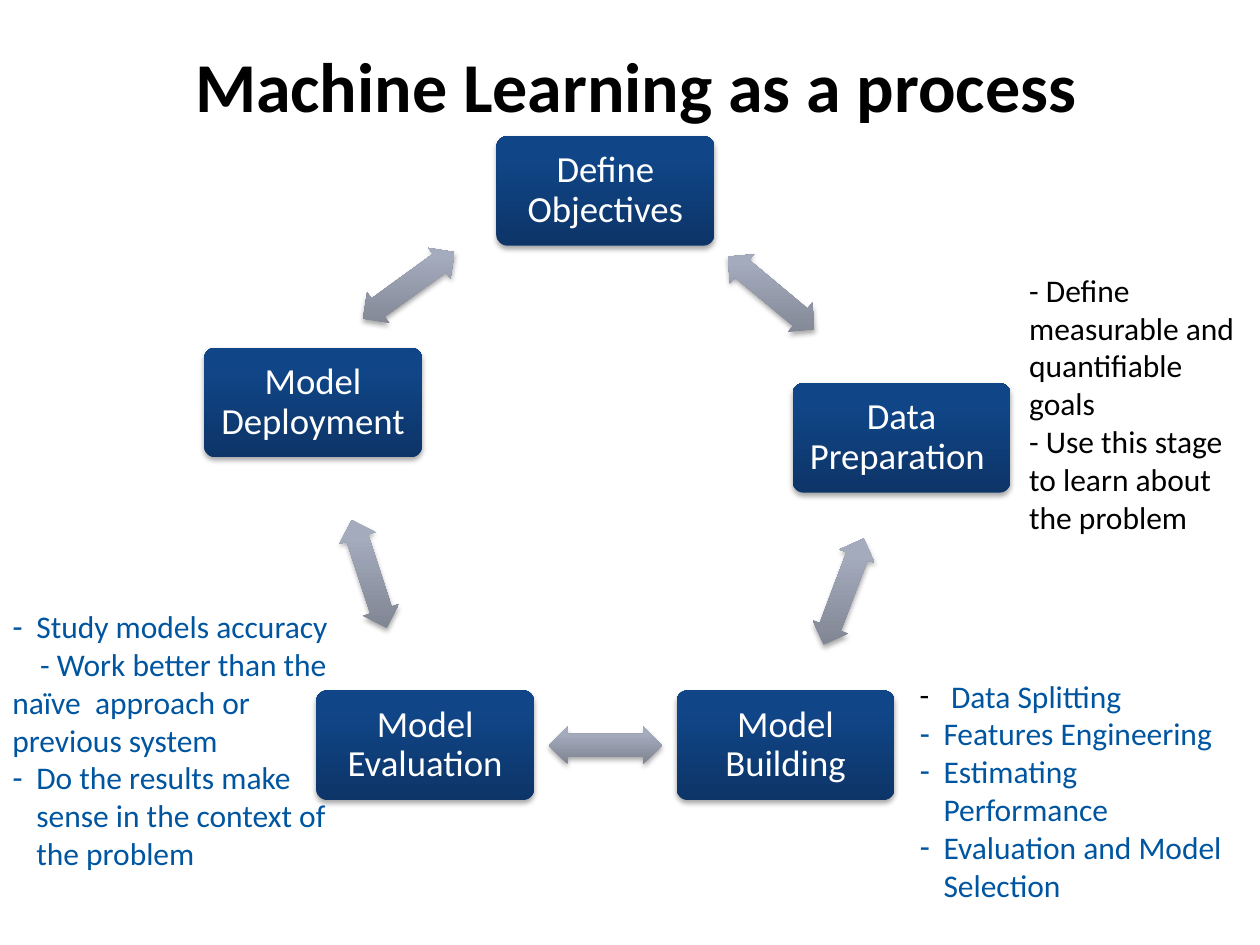
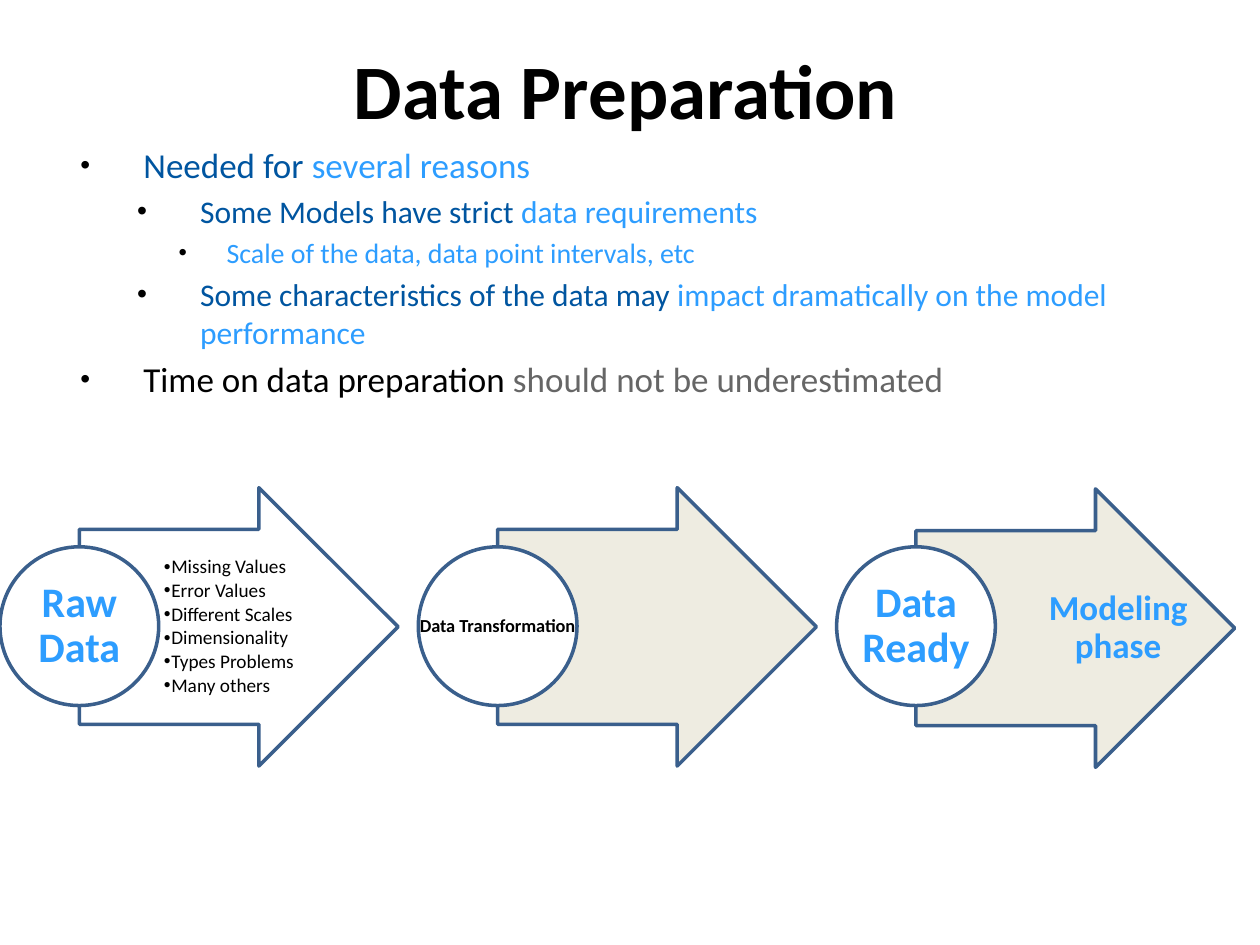
from math import atan2, degrees

from lxml import etree
from pptx import Presentation
from pptx.dml.color import RGBColor
from pptx.enum.shapes import MSO_SHAPE
from pptx.enum.text import MSO_ANCHOR, PP_ALIGN
from pptx.oxml import parse_xml
from pptx.oxml.ns import nsdecls, qn
from pptx.util import Pt

ROUNDED = MSO_SHAPE.ROUNDED_RECTANGLE
DOUBLE_ARROW = MSO_SHAPE.LEFT_RIGHT_ARROW
ARROW, CIRCLE = MSO_SHAPE.RIGHT_ARROW, MSO_SHAPE.OVAL
LEFT, CENTER = PP_ALIGN.LEFT, PP_ALIGN.CENTER
TOP, MIDDLE = MSO_ANCHOR.TOP, MSO_ANCHOR.MIDDLE
PX = 9144


class Theme:
    font = "Calibri"
    black, white, cream = "000000", "FFFFFF", "EEECE1"
    navy, sky, gray, outline = "0055A0", "2D9DFF", "666666", "3A5F8C"
    step_fade = [(0, "0D3568"), (80, "104587"), (100, "0E458A")]
    link_fade = [(0, "7E8391"), (80, "A4ABBC"), (100, "A4ABBE")]
    process_title, preparation_title = 40, 44
    step, note, circle, phase = 21, 18, 24, 20
    small_circle, problems = 10.5, 11
    levels = [20, 18, 16]


STEP_SIZE = (173, 87)
LINK_SIZE = (90, 30)
STEPS = [
    ("Define Objectives", (394, 108), (14, -17)),
    ("Data Preparation ", (629, 304), (0, 0)),
    ("Model Building", (537, 548), (0, 0)),
    ("Model Evaluation", (251, 548), (0, 0)),
    ("Model Deployment", (162, 276), (-40, -9)),
]
DASH = {"bullet": "-", "indent": (19, -19)}
NOTES = [
    ((720, 532, 280, 218), Theme.navy, [
        ("Data Splitting", {"bullet": "-", "indent": (25, -25),
                            "bullet_color": Theme.black,
                            "bullet_font": Theme.font}),
        ("Features Engineering", DASH),
        ("Estimating Performance", DASH),
        ("Evaluation and Model Selection", DASH),
    ]),
    ((0, 477, 272, 252), Theme.navy, [
        ("Study models accuracy", DASH),
        ("- Work better than the naïve  approach or previous system",
         {"indent": (0, 22)}),
        ("Do the results make sense in the context of the problem", DASH),
    ]),
    ((807, 210, 193, 252), Theme.black, [
        "- Define measurable and quantifiable goals",
        "- Use this stage to learn about the problem",
    ]),
]

LEVEL_FORMATS = [((54, -50), 80), ((99, -50), 90), ((120, -38), 85)]
REASONS = [
    (0, [("Needed for ", Theme.navy), ("several reasons", Theme.sky)]),
    (1, [("Some Models have strict ", Theme.navy),
         ("data requirements", Theme.sky)]),
    (2, [("Scale of the data, data point intervals, etc", Theme.sky)]),
    (1, [("Some characteristics of the data may ", Theme.navy),
         ("impact dramatically on the model performance", Theme.sky)]),
    (0, [("Time on data preparation ", Theme.black),
         ("should not be underestimated", Theme.gray)]),
]
STAGE_PITCH = 332
STAGES = [
    {"circle": "Raw Data", "fill": Theme.white, "top": 387,
     "details": ["Missing Values", "Error Values", "Different Scales",
                 "Dimensionality", "Types Problems", "Many others"],
     "look": {"size": Theme.problems, "color": Theme.black, "spacing": 0.9,
              "after": 1.65, "bullet": "•", "indent": (6, -6),
              "insets": (3, 1, 2, 1)}},
    {"circle": "Data Transformation", "fill": Theme.cream, "top": 387,
     "circle_look": {"size": Theme.small_circle, "color": Theme.black,
                     "wrap": False}},
    {"circle": "Data Ready", "fill": Theme.cream, "top": 388,
     "details": ["Modeling phase"],
     "look": {"size": Theme.phase, "color": Theme.sky, "bold": True,
              "spacing": 0.9, "align": CENTER, "insets": (6, 1, 3, 1)}},
]


def px(*lengths):
    return [round(length * PX) for length in lengths]


def set_bullet(paragraph, bullet, color, percent, font):
    properties = paragraph._p.get_or_add_pPr()
    if color:
        holder = etree.SubElement(properties, qn("a:buClr"))
        etree.SubElement(holder, qn("a:srgbClr"), val=color)
    if percent:
        etree.SubElement(properties, qn("a:buSzPct"), val=str(percent * 1000))
    etree.SubElement(properties, qn("a:buFont"), typeface=font)
    etree.SubElement(properties, qn("a:buChar"), char=bullet)


def write(shape, paragraphs, *, anchor=TOP, insets=(10, 5, 10, 5), wrap=True,
          **shared):
    frame = shape.text_frame
    frame.word_wrap, frame.vertical_anchor = wrap, anchor
    (frame.margin_left, frame.margin_top,
     frame.margin_right, frame.margin_bottom) = px(*insets)
    for index, entry in enumerate(paragraphs):
        content, own = (entry, {}) if isinstance(entry, str) else entry
        look = {**shared, **own}
        paragraph = frame.add_paragraph() if index else frame.paragraphs[0]
        paragraph.alignment = look.get("align", LEFT)
        paragraph.level = look.get("level", 0)
        paragraph.line_spacing = look.get("spacing", 1.0)
        paragraph.space_before = Pt(look.get("before", 0))
        paragraph.space_after = Pt(look.get("after", 0))
        margin, first = px(*look.get("indent", (0, 0)))
        properties = paragraph._p.get_or_add_pPr()
        properties.set("marL", str(margin))
        properties.set("indent", str(first))
        if "bullet" in look:
            set_bullet(paragraph, look["bullet"], look.get("bullet_color"),
                       look.get("bullet_percent"),
                       look.get("bullet_font", "Arial"))
        runs = [(content, look.get("color"))] if isinstance(content, str) else content
        for words, color in runs:
            run = paragraph.add_run()
            run.text = words
            run.font.name, run.font.size = Theme.font, Pt(look["size"])
            run.font.bold = look.get("bold", False)
            run.font.color.rgb = RGBColor.from_string(color)


def add_text(slide, box, paragraphs, **look):
    write(slide.shapes.add_textbox(*px(*box)), paragraphs, **look)


def add_title(slide, box, words, size):
    add_text(slide, box, [words], size=size, color=Theme.black, bold=True,
             wrap=False)


def add_faded(slide, kind, box, stops, adjustments):
    shape = slide.shapes.add_shape(kind, *px(*box))
    for index, value in enumerate(adjustments):
        shape.adjustments[index] = value
    shape.line.fill.background()
    marks = "".join(f'<a:gs pos="{at * 1000}"><a:srgbClr val="{color}"/></a:gs>'
                    for at, color in stops)
    fade = parse_xml(f'<a:gradFill {nsdecls("a")} rotWithShape="0"><a:gsLst>{marks}'
                     '</a:gsLst><a:lin ang="16200000" scaled="0"/></a:gradFill>')
    shadow = parse_xml(
        f'<a:effectLst {nsdecls("a")}><a:outerShdw blurRad="{Pt(3.1)}" '
        f'dist="{Pt(1.8)}" dir="5400000" rotWithShape="0"><a:srgbClr '
        'val="000000"><a:alpha val="35000"/></a:srgbClr></a:outerShdw></a:effectLst>')
    properties = shape._element.spPr
    properties.find(qn("a:prstGeom")).addnext(fade)
    properties.append(shadow)
    return shape


def add_outlined(slide, kind, box, fill):
    shape = slide.shapes.add_shape(kind, *px(*box))
    shape.shadow.inherit = False
    shape.fill.solid()
    shape.fill.fore_color.rgb = RGBColor.from_string(fill)
    shape.line.color.rgb = RGBColor.from_string(Theme.outline)
    shape.line.width = Pt(2)
    return shape


def build_process(slide):
    width, height = STEP_SIZE
    length, thickness = LINK_SIZE
    following = STEPS[1:] + STEPS[:1]
    for (label, (x, y), (shift_x, shift_y)), (_, (next_x, next_y), _) in zip(
            STEPS, following):
        step = add_faded(slide, ROUNDED, (x, y, width, height),
                         Theme.step_fade, [0.1])
        write(step, [label], size=Theme.step, color=Theme.white, align=CENTER,
              anchor=MIDDLE, spacing=0.9, insets=(9, 9, 9, 9))
        center_x = (x + next_x + width) / 2 + shift_x
        center_y = (y + next_y + height) / 2 + shift_y
        link = add_faded(slide, DOUBLE_ARROW,
                         (center_x - length / 2, center_y - thickness / 2,
                          length, thickness), Theme.link_fade, [0.6, 0.5])
        link.rotation = degrees(atan2(next_y - y, next_x - x)) % 360
    add_title(slide, (145, 29, 728, 77), "Machine Learning as a process",
              Theme.process_title)
    for box, color, lines in NOTES:
        add_text(slide, box, lines, size=Theme.note, color=color)


def build_preparation(slide):
    add_title(slide, (271, 29, 456, 84), "Data Preparation",
              Theme.preparation_title)
    reasons = []
    for level, runs in REASONS:
        indent, percent = LEVEL_FORMATS[level]
        size = Theme.levels[level]
        reasons.append((runs, {"level": level, "indent": indent, "size": size,
                               "before": size * 0.2,
                               "bullet_percent": percent}))
    add_text(slide, (50, 109, 900, 350), reasons, bullet="•",
             bullet_color=Theme.black)
    for index, stage in enumerate(STAGES):
        x, top = index * STAGE_PITCH, stage["top"]
        arrow = add_outlined(slide, ARROW, (x + 63, top, 253, 221), stage["fill"])
        arrow.adjustments[0], arrow.adjustments[1] = 0.7, 0.5
        if "details" in stage:
            add_text(slide, (x + 127, top, 190, 221), stage["details"],
                     anchor=MIDDLE, **stage["look"])
        circle = add_outlined(slide, CIRCLE, (x, 434, 126, 126), Theme.white)
        look = {"size": Theme.circle, "color": Theme.sky,
                **stage.get("circle_look", {})}
        write(circle, [stage["circle"]], bold=True, align=CENTER, anchor=MIDDLE,
              spacing=0.9, insets=(0, 0, 0, 0), **look)


def main():
    deck = Presentation()
    deck.slide_width, deck.slide_height = px(1000, 750)
    blank = deck.slide_layouts[6]
    for build in (build_process, build_preparation):
        build(deck.slides.add_slide(blank))
    deck.save("out.pptx")


if __name__ == "__main__":
    main()
